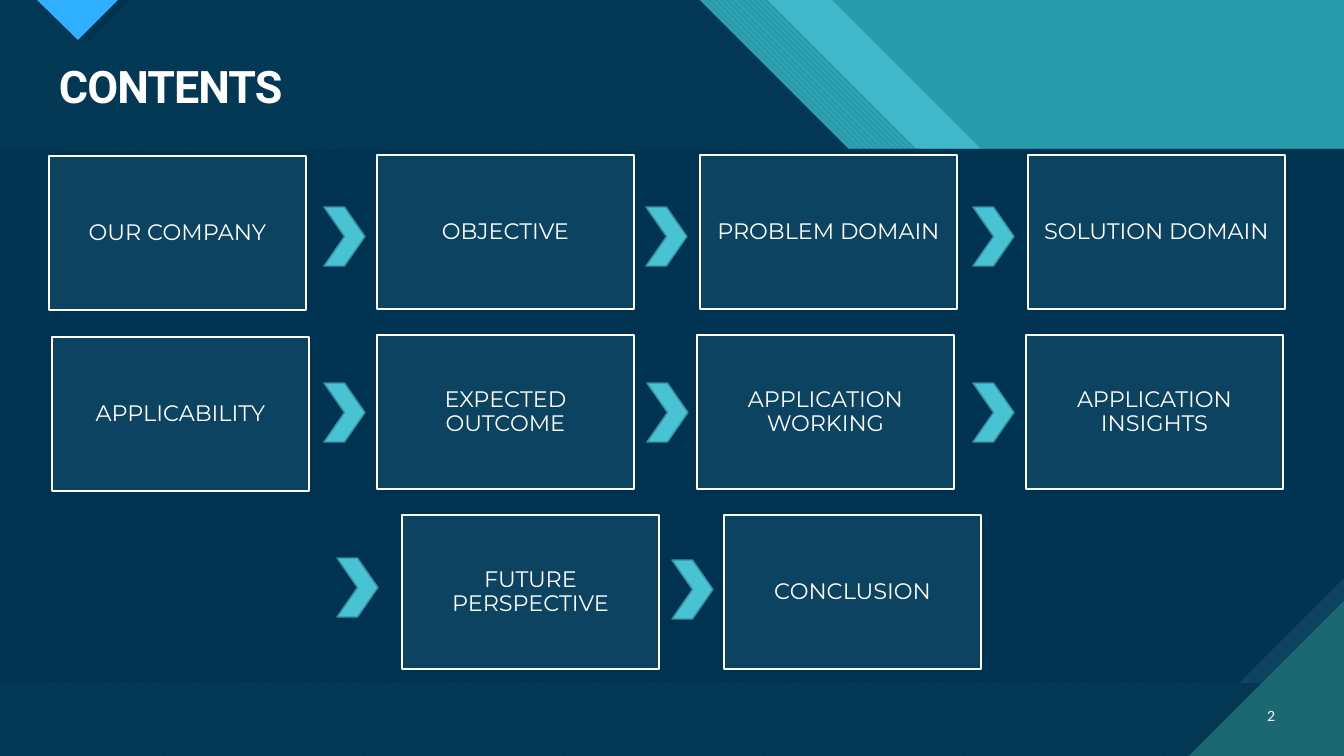
from pptx import Presentation
from pptx.dml.color import RGBColor
from pptx.enum.dml import MSO_PATTERN
from pptx.enum.shapes import MSO_SHAPE
from pptx.enum.text import MSO_ANCHOR, PP_ALIGN
from pptx.util import Emu, Pt

RECT, CHEVRON = MSO_SHAPE.RECTANGLE, MSO_SHAPE.CHEVRON
UP_DIAG, DOWN_DIAG = MSO_PATTERN.WIDE_UPWARD_DIAGONAL, MSO_PATTERN.WIDE_DOWNWARD_DIAGONAL
MIDDLE = MSO_ANCHOR.MIDDLE
LEFT, CENTER, RIGHT = PP_ALIGN.LEFT, PP_ALIGN.CENTER, PP_ALIGN.RIGHT

WHITE = RGBColor(0xFF, 0xFF, 0xFF)
NAVY = RGBColor(0x00, 0x33, 0x52)
NAVY_BASE = RGBColor(0x03, 0x38, 0x55)
NAVY_STRIPE = RGBColor(0x07, 0x41, 0x5F)
CARD = RGBColor(0x0C, 0x43, 0x60)
TEAL = RGBColor(0x29, 0x9C, 0xAB)
BAND = RGBColor(0x3F, 0xB9, 0xC9)
AQUA = RGBColor(0x47, 0xC3, 0xD3)
AQUA_EDGE = RGBColor(0x35, 0x90, 0x9C)
DEEP_TEAL = RGBColor(0x1B, 0x68, 0x72)
BLUE = RGBColor(0x2F, 0xAF, 0xFF)

W, H = 1344, 756
SCALE = 12192000 / W
CARD_W, CARD_H = 257, 154
ARROW_W, ARROW_H = 41, 59
# Each row: cards as (x, y, label), then arrows as (x, y)
ROWS = [
    ([(49, 156, "OUR COMPANY"), (377, 155, "OBJECTIVE"),
      (700, 155, "PROBLEM DOMAIN"), (1028, 155, "SOLUTION DOMAIN")],
     [(324, 207), (646, 207), (973, 207)]),
    ([(52, 337, "APPLICABILITY"), (377, 335, "EXPECTED OUTCOME"),
      (697, 335, "APPLICATION WORKING"), (1026, 335, "APPLICATION INSIGHTS")],
     [(324, 383), (647, 383), (973, 383)]),
    ([(402, 515, "FUTURE PERSPECTIVE"), (724, 515, "CONCLUSION")],
     [(337, 558), (672, 560)]),
]


def px(n):
    return Emu(round(n * SCALE))


def paint(sp, color, line=None, pattern=None, back=None):
    sp.shadow.inherit = False
    if pattern is None:
        sp.fill.solid()
        sp.fill.fore_color.rgb = color
    else:
        sp.fill.patterned()
        sp.fill.pattern = pattern
        sp.fill.fore_color.rgb = color
        sp.fill.back_color.rgb = back
    if line is None:
        sp.line.fill.background()
    else:
        sp.line.color.rgb = line
        sp.line.width = Pt(1)
    return sp


def preset(s, kind, x, y, w, h, color, **style):
    sp = s.shapes.add_shape(kind, px(x), px(y), px(w), px(h))
    return paint(sp, color, **style)


def polygon(s, points, color, **style):
    fb = s.shapes.build_freeform(*points[0], scale=SCALE)
    fb.add_line_segments(points[1:], close=True)
    return paint(fb.convert_to_shape(), color, **style)


def write(sp, text, font, size, align, bold=False):
    tf = sp.text_frame
    tf.word_wrap = True
    tf.vertical_anchor = MIDDLE
    p = tf.paragraphs[0]
    p.text = text
    p.alignment = align
    p.line_spacing = 0.9
    r = p.runs[0]
    r.font.name, r.font.size, r.font.bold = font, Pt(size), bold
    r.font.color.rgb = WHITE
    return r


def header(s, x, y, w, h):
    """Diagonal bands, each sloping right by the header's height."""
    def band(start, end, color, **style):
        polygon(s, [(x + start, y), (x + end, y), (x + end + h, y + h),
                    (x + start + h, y + h)], color, **style)

    polygon(s, [(x + 831, y), (x + w, y), (x + w, y + h), (x + 831 + h, y + h)], TEAL)
    band(767, 832, BAND)
    band(700, 767, AQUA, pattern=DOWN_DIAG, back=TEAL)
    # Pointer on the top edge, over its dark shade
    for left, width, color in [(48, 84, NAVY), (37, 81, BLUE)]:
        polygon(s, [(x + left, y), (x + left + width, y),
                    (x + left + width / 2, y + width / 2)], color)
    title = s.shapes.add_textbox(px(x + 49), px(y + 59), px(1236), px(59))
    r = write(title, "CONTENTS", "Roboto", 32, LEFT, bold=True)
    r.font._element.set("spc", "-70")


def panel(s, x, y, w, h):
    """Dark middle panel with its lower right corner cut off."""
    cut = 105
    preset(s, RECT, x, y, w, h, CARD)
    polygon(s, [(x, y), (x + w, y), (x + w, y + h - cut),
                (x + w - cut, y + h), (x, y + h)], NAVY)


def corner(s, x, y, size):
    """Lower right triangle and page number."""
    polygon(s, [(x, y + size), (x + size, y + size), (x + size, y)], DEEP_TEAL)
    number = s.shapes.add_textbox(px(x + 52), px(y + 96), px(44), px(40))
    write(number, "2", "Lato", 10, RIGHT)


def card(s, x, y, label):
    sp = preset(s, RECT, x, y, CARD_W, CARD_H, CARD, line=WHITE)
    tf = sp.text_frame
    tf.margin_left = tf.margin_right = tf.margin_top = tf.margin_bottom = px(7)
    write(sp, label, "Montserrat", 16, CENTER)


def main():
    prs = Presentation()
    prs.slide_width, prs.slide_height = px(W), px(H)
    s = prs.slides.add_slide(prs.slide_layouts[6])

    # Backdrop
    preset(s, RECT, 0, 0, W, H, NAVY_STRIPE, pattern=UP_DIAG, back=NAVY_BASE)
    header(s, 0, 0, W, 150)
    panel(s, 0, 149, W, 534)
    corner(s, 1189, 601, 155)

    # Contents flow
    for cards, arrows in ROWS:
        for x, y, label in cards:
            card(s, x, y, label)
        for x, y in arrows:
            preset(s, CHEVRON, x, y, ARROW_W, ARROW_H, AQUA, line=AQUA_EDGE)

    prs.save("out.pptx")


if __name__ == "__main__":
    main()
